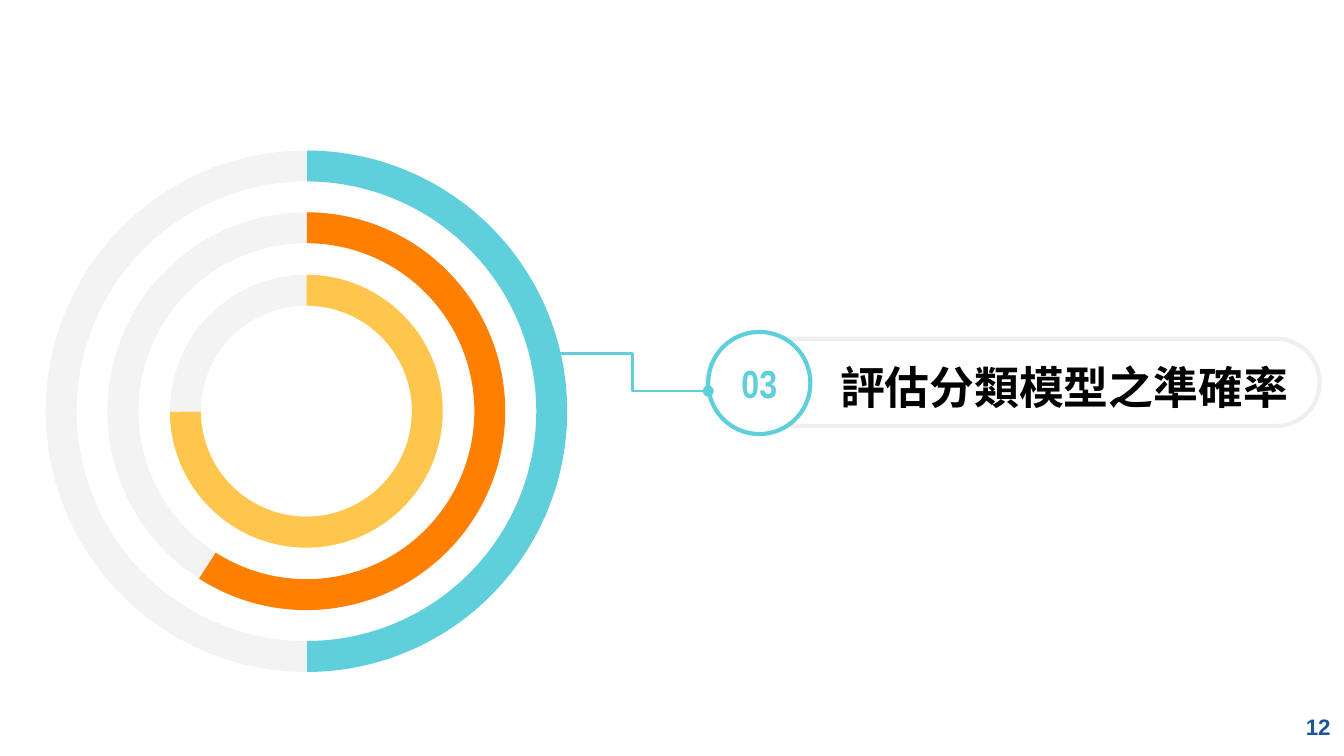
from pptx import Presentation
from pptx.dml.color import RGBColor
from pptx.enum.shapes import MSO_CONNECTOR, MSO_SHAPE
from pptx.enum.text import MSO_ANCHOR, MSO_AUTO_SIZE, PP_ALIGN
from pptx.oxml.ns import qn
from pptx.util import Inches, Pt
from lxml.etree import SubElement

TEAL = "5FD0DB"
WHITE = "FFFFFF"


def add_figure(kind, left, top, width, height, fill, line=None):
    figure = page.shapes.add_shape(
        kind, Inches(left), Inches(top), Inches(width), Inches(height))
    figure.shadow.inherit = False
    figure.fill.solid()
    figure.fill.fore_color.rgb = RGBColor.from_string(fill)
    if line:
        figure.line.color.rgb = RGBColor.from_string(line)
        figure.line.width = Pt(2.25)
    else:
        figure.line.fill.background()
    return figure


def write_text(box, text, size, font, color, align=PP_ALIGN.LEFT,
               insets=(0.1, 0.1, 0.1, 0.1)):
    frame = box.text_frame
    frame.word_wrap = True
    frame.auto_size = MSO_AUTO_SIZE.NONE
    frame.vertical_anchor = MSO_ANCHOR.MIDDLE
    frame.margin_left, frame.margin_top, frame.margin_right, frame.margin_bottom = map(
        Inches, insets)
    para = frame.paragraphs[0]
    para.alignment = align
    span = para.add_run()
    span.text = text
    span.font.size = Pt(size)
    span.font.bold = True
    span.font.color.rgb = RGBColor.from_string(color)
    span.font.name = font
    SubElement(span.font._element, qn("a:ea"), typeface=font)


# A 16:9 page, 10 inches wide
deck = Presentation()
deck.slide_width, deck.slide_height = Inches(10), Inches(10 * 9 / 16)
page = deck.slides.add_slide(deck.slide_layouts[5])

# Concentric rings: grey tracks first, then coloured progress arcs
center_x, center_y, thickness = 2.28, 3.06, 0.23
rings = [(3.88, 89.83, TEAL), (2.96, 122.65, "FF8001"), (2.03, 179.73, "FFC64E")]
for kind in (MSO_SHAPE.DONUT, MSO_SHAPE.BLOCK_ARC):
    for size, end_angle, color in rings:
        is_arc = kind == MSO_SHAPE.BLOCK_ARC
        ring = add_figure(kind, center_x - size / 2, center_y - size / 2,
                          size, size, color if is_arc else "F3F3F3")
        if is_arc:
            # Angles are stored in 60000ths of a degree, adjustments in 100000ths
            ring.adjustments[0] = 270.15 * 0.6
            ring.adjustments[1] = end_angle * 0.6
        ring.adjustments[2 if is_arc else 0] = thickness / size

# Section pill and number badge
pill = add_figure(MSO_SHAPE.ROUNDED_RECTANGLE, 5.26, 2.52, 4.56, 0.65, WHITE, "EFEFEF")
pill.adjustments[0] = 0.5
badge = add_figure(MSO_SHAPE.OVAL, 5.27, 2.47, 0.76, 0.76, WHITE, TEAL)
write_text(badge, "03", 21, "Arial Narrow", TEAL, PP_ALIGN.CENTER, (0, 0.1, 0, 0.1))

# Elbow line from the outer ring to the badge
elbow = page.shapes.add_connector(
    MSO_CONNECTOR.ELBOW, Inches(4.14), Inches(2.63), Inches(5.27), Inches(2.91))
elbow.line.color.rgb = RGBColor.from_string(TEAL)
elbow.line.width = Pt(1.5)
SubElement(elbow.line._get_or_add_ln(), qn("a:tailEnd"), type="oval")
SubElement(elbow._element.spPr, qn("a:effectLst"))

# Section title, brought in front of the pill
title = page.shapes.title
title.left, title.top = Inches(5.65), Inches(2.57)
title.width, title.height = Inches(5.32), Inches(0.83)
write_text(title, "評估分類模型之準確率", 24, "Noto Sans CJK TC", "000000",
           insets=(0.6, 0.1, 0.2, 0.32))
page.shapes._spTree.append(title._element)

# Page number
number = page.shapes.add_textbox(Inches(9.4), Inches(5.19), Inches(0.6), Inches(0.43))
write_text(number, "12", 12, "Arial", "1A569C", PP_ALIGN.RIGHT)

deck.save("out.pptx")
